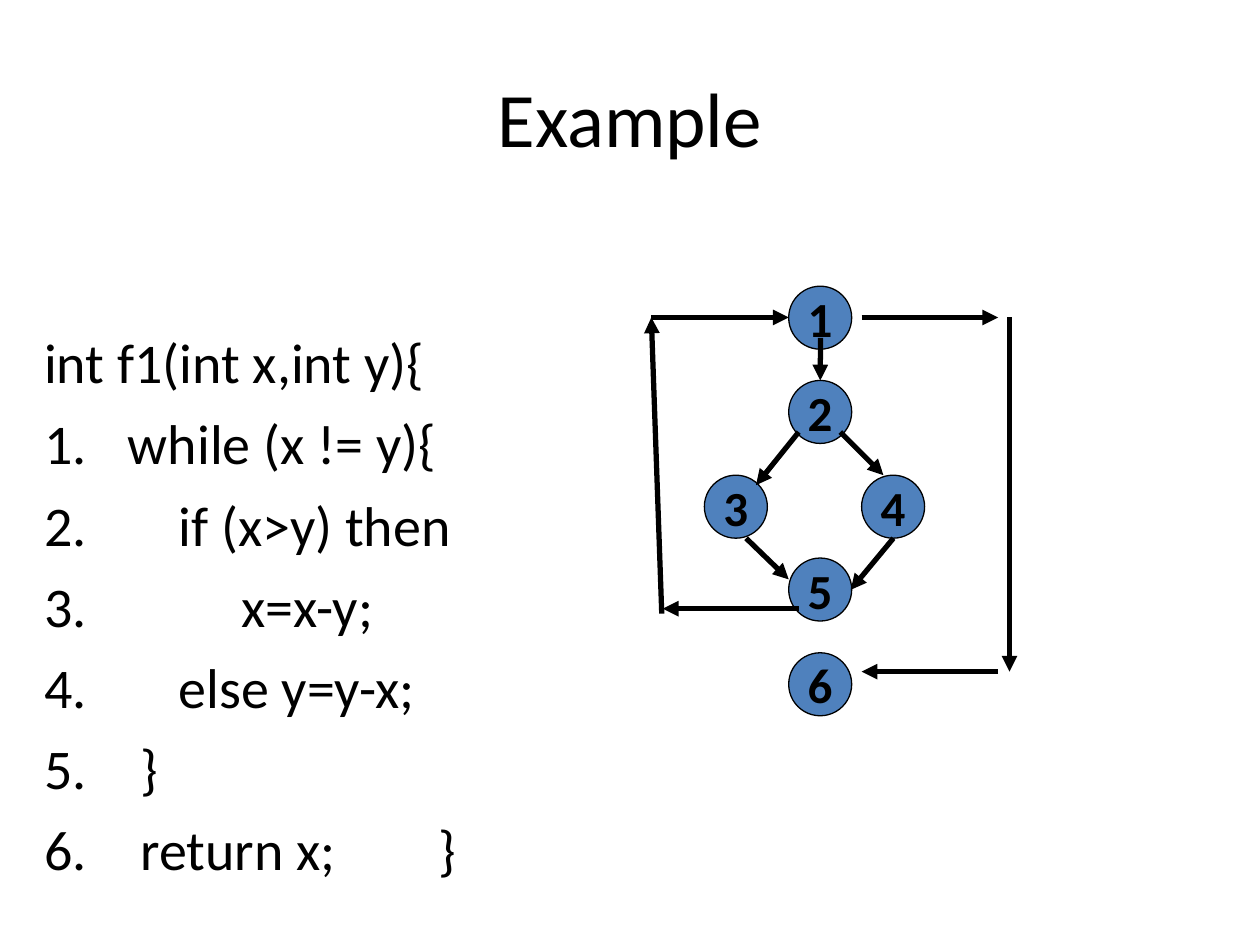
"""Build a slide with a numbered code listing and its control flow graph."""
from lxml import etree
from pptx import Presentation
from pptx.dml.color import RGBColor
from pptx.enum.shapes import MSO_CONNECTOR, MSO_SHAPE
from pptx.enum.text import MSO_ANCHOR, PP_ALIGN
from pptx.oxml.ns import qn
from pptx.util import Cm, Pt

CENTER = PP_ALIGN.CENTER
MIDDLE = MSO_ANCHOR.MIDDLE
OVAL = MSO_SHAPE.OVAL
STRAIGHT = MSO_CONNECTOR.STRAIGHT
BLACK, BLUE = "000000", "4F81BD"
NODE_SIZE = 1.27
NUMBER_INDENT = 1.69
SPACE_BEFORE = Pt(8)


def color(value):
    return RGBColor.from_string(value)


def add_run(paragraph, text, size, bold=False):
    run = paragraph.add_run()
    run.text = text
    run.font.name = "Calibri"
    run.font.size = Pt(size)
    run.font.bold = bold
    run.font.color.rgb = color(BLACK)


presentation = Presentation()
presentation.slide_width = Cm(25.4)
presentation.slide_height = Cm(19.05)
slide = presentation.slides.add_slide(presentation.slide_layouts[6])

title = slide.shapes.add_textbox(Cm(1.27), Cm(0.76), Cm(22.86), Cm(3.18))
title.text_frame.word_wrap = True
title.text_frame.vertical_anchor = MIDDLE
paragraph = title.text_frame.paragraphs[0]
paragraph.alignment = CENTER
add_run(paragraph, "Example", 44)

code = slide.shapes.add_textbox(Cm(0.64), Cm(6.48), Cm(22.86), Cm(12.57))
code.text_frame.word_wrap = True
paragraph = code.text_frame.paragraphs[0]
paragraph.space_before = SPACE_BEFORE
add_run(paragraph, "int f1(int x,int y){", 32)

code_lines = [
    (0, "while (x != y){"),
    (1.02, "if (x>y) then"),
    (2.29, "x=x-y;"),
    (1.02, "else y=y-x;"),
    (0.25, "}"),
    (0.25, "return x;\t}"),
]
for number, (depth, text) in enumerate(code_lines, 1):
    paragraph = code.text_frame.add_paragraph()
    paragraph.space_before = SPACE_BEFORE
    add_run(paragraph, text, 32)
    properties = paragraph._p.get_or_add_pPr()
    indent = Cm(NUMBER_INDENT + depth)
    properties.set("marL", str(indent))
    properties.set("indent", str(-indent))
    etree.SubElement(properties, qn("a:buFont"), typeface="Calibri")
    etree.SubElement(properties, qn("a:buAutoNum"), type="arabicPeriod", startAt=str(number))
    if "\t" in text:
        tabs = etree.SubElement(properties, qn("a:tabLst"))
        etree.SubElement(tabs, qn("a:tab"), pos=str(Cm(7.95)), algn="l")

node_positions = [
    (15.9, 5.77), (15.9, 7.67), (14.2, 9.58),
    (17.37, 9.58), (15.9, 11.25), (15.9, 13.16),
]
nodes = []
for number, (left, top) in enumerate(node_positions, 1):
    node = slide.shapes.add_shape(OVAL, Cm(left), Cm(top), Cm(NODE_SIZE), Cm(NODE_SIZE))
    node.shadow.inherit = False
    node.fill.solid()
    node.fill.fore_color.rgb = color(BLUE)
    node.line.color.rgb = color(BLACK)
    node.line.width = Pt(0.75)
    node.text_frame.word_wrap = False
    node.text_frame.vertical_anchor = MIDDLE
    paragraph = node.text_frame.paragraphs[0]
    paragraph.alignment = CENTER
    add_run(paragraph, str(number), 28, bold=True)
    nodes.append(node)

arrow_ends = [
    (16.54, 6.81, 16.54, 7.67),
    (16.1, 8.71, 15.24, 9.78),
    (16.94, 8.71, 17.81, 9.58),
    (15.04, 10.85, 15.9, 11.68),
    (18.01, 10.85, 17.15, 11.89),
    (16.1, 12.27, 13.36, 12.27),
    (13.34, 12.37, 13.13, 6.4),
    (13.13, 6.4, 15.9, 6.4),
    (20.35, 6.4, 20.35, 13.54),
    (20.12, 13.54, 17.37, 13.54),
    (17.37, 6.4, 20.12, 6.4),
]
arrows = []
for ends in arrow_ends:
    arrow = slide.shapes.add_connector(STRAIGHT, *map(Cm, ends))
    arrow.line.color.rgb = color(BLACK)
    arrow.line.width = Pt(3)
    etree.SubElement(arrow.line._get_or_add_ln(), qn("a:tailEnd"), type="triangle")
    etree.SubElement(arrow._element.spPr, qn("a:effectLst"))
    arrows.append(arrow)
arrows[0].end_connect(nodes[1], 0)

presentation.save("out.pptx")
